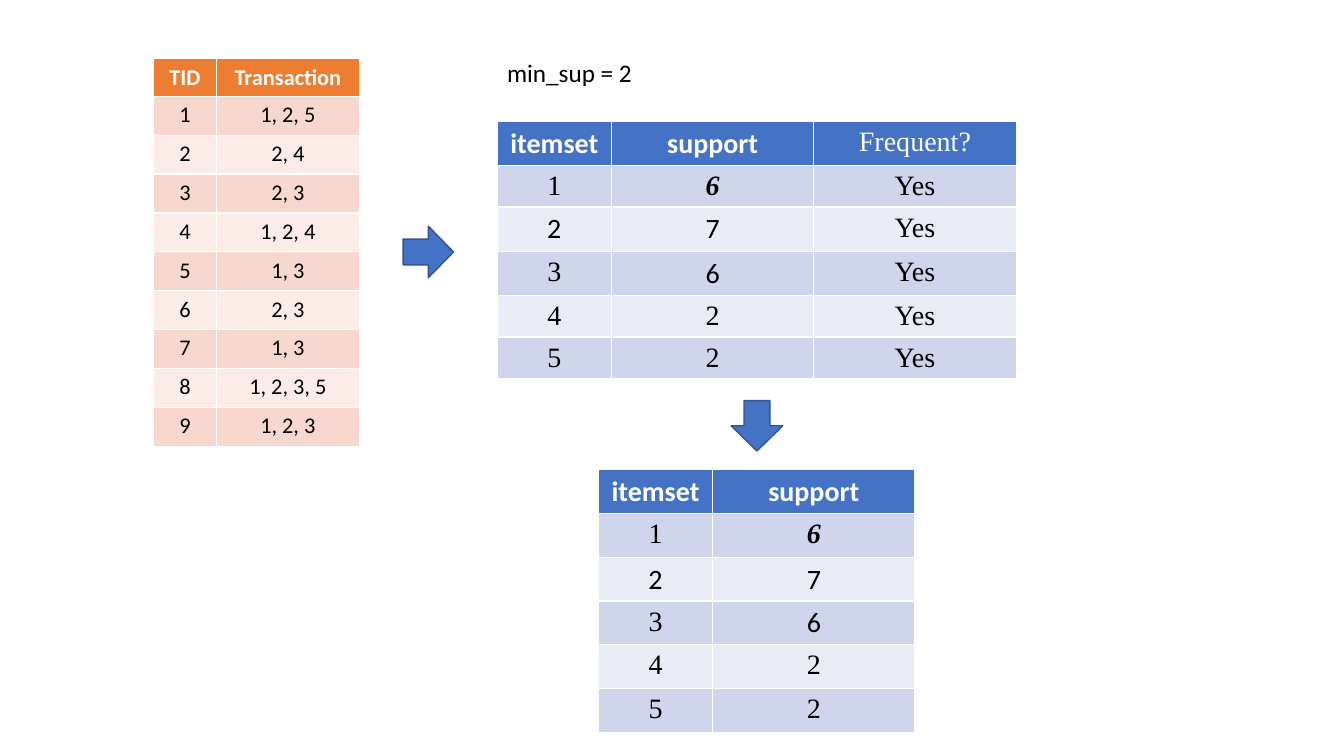
import pptx
import pptx.dml.color
import pptx.enum.shapes
import pptx.enum.text
import pptx.util

Cm = pptx.util.Cm
RGBColor = pptx.dml.color.RGBColor
PP_ALIGN = pptx.enum.text.PP_ALIGN

WHITE = RGBColor(0xFF, 0xFF, 0xFF)
BLACK = RGBColor(0x00, 0x00, 0x00)
BLUE = RGBColor(0x44, 0x72, 0xC4)
DARK_BLUE = RGBColor(0x32, 0x54, 0x91)
BLUE_BANDS = (RGBColor(0xCF, 0xD5, 0xEA), RGBColor(0xE9, 0xEB, 0xF5))
ORANGE = RGBColor(0xED, 0x7D, 0x31)
ORANGE_BANDS = (RGBColor(0xF8, 0xD7, 0xCE), RGBColor(0xFC, 0xEC, 0xE8))

SANS = "Calibri"
SERIF = "Times New Roman"

TRANSACTIONS = ["1, 2, 5", "2, 4", "2, 3", "1, 2, 4", "1, 3", "2, 3", "1, 3", "1, 2, 3, 5", "1, 2, 3"]
SUPPORTS = ["6", "7", "6", "2", "2"]
SANS_CELLS = {(0, 0), (0, 1), (2, 0), (2, 1), (3, 1)}


def write(tf, text, size=20, font=SANS, color=BLACK, bold=False, italic=False, align=PP_ALIGN.CENTER):
    """Put one formatted line of text in a text frame."""
    p = tf.paragraphs[0]
    p.alignment = align
    r = p.add_run()
    r.text = text
    r.font.size = pptx.util.Pt(size)
    r.font.name = font
    r.font.color.rgb = color
    r.font.bold = bold
    r.font.italic = italic


def add_banded_table(s, left, top, widths, heights, rows, head, bands, style):
    """Place a banded table; style(row, column) gives the text format of a cell."""
    frame = s.shapes.add_table(len(rows), len(widths), left, top, sum(widths), sum(heights))
    table = frame.table
    for column, width in zip(table.columns, widths):
        column.width = width
    for i, values in enumerate(rows):
        table.rows[i].height = heights[i]
        for j, value in enumerate(values):
            cell = table.cell(i, j)
            cell.fill.solid()
            cell.fill.fore_color.rgb = bands[(i - 1) % 2] if i else head
            write(cell.text_frame, value, color=BLACK if i else WHITE, **style(i, j))


def transaction_style(i, j):
    """Return the text format of a transaction cell."""
    return {"size": 16, "bold": i == 0}


def support_style(i, j):
    """Return the text format of an itemset cell."""
    top_support = (i, j) == (1, 1)
    return {
        "font": SANS if (i, j) in SANS_CELLS else SERIF,
        "bold": top_support or (i == 0 and j < 2),
        "italic": top_support,
    }


def add_transactions(s, left, top):
    """Place the table of transactions."""
    rows = [("TID", "Transaction")]
    rows += [(str(tid), items) for tid, items in enumerate(TRANSACTIONS, 1)]
    heights = [Cm(0.93)] + [Cm(0.98)] * len(TRANSACTIONS)
    add_banded_table(s, left, top, [Cm(1.58), Cm(3.61)], heights, rows,
                     ORANGE, ORANGE_BANDS, transaction_style)


def add_itemsets(s, left, top, row_height, with_frequent):
    """Place a table of itemset supports, optionally with the frequency column."""
    rows = [("itemset", "support", "Frequent?")]
    rows += [(str(item), support, "Yes") for item, support in enumerate(SUPPORTS, 1)]
    widths = [Cm(2.88), Cm(5.1), Cm(5.1)]
    count = 3 if with_frequent else 2
    add_banded_table(s, left, top, widths[:count], [row_height] * len(rows),
                     [row[:count] for row in rows], BLUE, BLUE_BANDS, support_style)


def add_arrow(s, left, top, rotation=0):
    """Place a block arrow between two tables."""
    sp = s.shapes.add_shape(pptx.enum.shapes.MSO_SHAPE.RIGHT_ARROW, left, top, Cm(1.27), Cm(1.3))
    sp.rotation = rotation
    sp.shadow.inherit = False
    sp.fill.solid()
    sp.fill.fore_color.rgb = BLUE
    sp.line.color.rgb = DARK_BLUE
    sp.line.width = pptx.util.Pt(1)


def add_threshold(s, left, top):
    """Place the minimum support label."""
    tf = s.shapes.add_textbox(left, top, Cm(4.8), Cm(1.27)).text_frame
    tf.word_wrap = True
    write(tf, "min_sup = 2", size=18, align=PP_ALIGN.LEFT)


def main():
    """Build the slide and save it."""
    prs = pptx.Presentation()
    prs.slide_width = Cm(33.87)
    prs.slide_height = Cm(19.05)
    s = prs.slides.add_slide(prs.slide_layouts[6])
    add_transactions(s, Cm(3.87), Cm(1.48))
    add_arrow(s, Cm(10.16), Cm(5.7))
    add_itemsets(s, Cm(12.53), Cm(3.06), Cm(1), True)
    add_threshold(s, Cm(12.53), Cm(1.32))
    add_arrow(s, Cm(18.44), Cm(10.08), 90)
    add_itemsets(s, Cm(15.08), Cm(11.84), Cm(1.1), False)
    prs.save("out.pptx")


if __name__ == "__main__":
    main()
